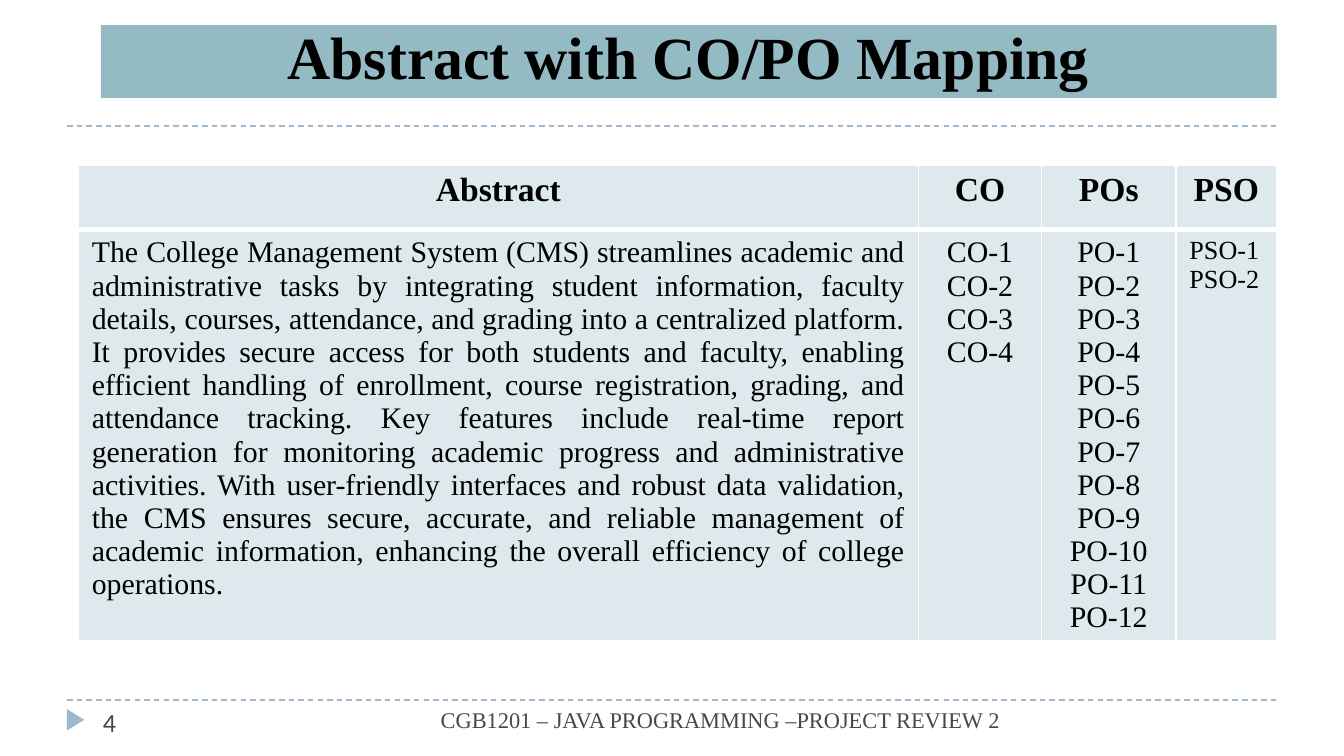
from collections import namedtuple

from lxml import etree
from pptx import Presentation
from pptx.dml.color import RGBColor
from pptx.enum.dml import MSO_LINE
from pptx.enum.shapes import MSO_CONNECTOR, MSO_SHAPE
from pptx.enum.text import MSO_ANCHOR, PP_ALIGN
from pptx.oxml.ns import qn
from pptx.util import Inches, Pt

LEFT, CENTER = PP_ALIGN.LEFT, PP_ALIGN.CENTER
RIGHT, JUSTIFY = PP_ALIGN.RIGHT, PP_ALIGN.JUSTIFY
TOP, BOTTOM = MSO_ANCHOR.TOP, MSO_ANCHOR.BOTTOM
DASH = MSO_LINE.DASH
TRIANGLE = MSO_SHAPE.ISOSCELES_TRIANGLE
STRAIGHT = MSO_CONNECTOR.STRAIGHT

BLACK = RGBColor(0x00, 0x00, 0x00)
WHITE = RGBColor(0xFF, 0xFF, 0xFF)
TEAL = RGBColor(0x94, 0xBA, 0xC3)
PALE_TEAL = RGBColor(0xDD, 0xE9, 0xEC)
RULE_BLUE = RGBColor(0x9F, 0xB8, 0xCD)
SLATE = RGBColor(0x46, 0x46, 0x53)
SERIF, SANS = "Times New Roman", "Calibri"

SLIDE_W, SLIDE_H = Inches(10), Inches(5.625)
COL, ROW = SLIDE_W / 120, SLIDE_H / 135

Box = namedtuple("Box", "left top width height")

TITLE_BOX = Box(9, 4.5, 105, 13)
RULE_BOX = Box(6, 22.5, 108, 0)
TABLE_BOX = Box(7, 29.5, 107, 85)
FOOTER_BOX = Box(6, 125, 108, 10)

COLUMN_SPANS = (75, 11, 12, 9)
ROW_SPANS = (11.5, 73.5)
HEADINGS = ("Abstract", "CO", "POs", "PSO")
ABSTRACT = (
    "The College Management System (CMS) streamlines academic and administrative tasks "
    "by integrating student information, faculty details, courses, attendance, and grading "
    "into a centralized platform. It provides secure access for both students and faculty, "
    "enabling efficient handling of enrollment, course registration, grading, and attendance "
    "tracking. Key features include real-time report generation for monitoring academic "
    "progress and administrative activities. With user-friendly interfaces and robust data "
    "validation, the CMS ensures secure, accurate, and reliable management of academic "
    "information, enhancing the overall efficiency of college operations."
)


def numbered(prefix, count):
    return "\n".join(f"{prefix}-{number}" for number in range(1, count + 1))


def emu(box):
    return (round(box.left * COL), round(box.top * ROW),
            round(box.width * COL), round(box.height * ROW))


def write(frame, text, size=16, font=SERIF, color=BLACK, bold=False, align=LEFT, anchor=TOP):
    frame.word_wrap = True
    frame.vertical_anchor = anchor
    frame.text = text
    for paragraph in frame.paragraphs:
        paragraph.alignment = align
        for run in paragraph.runs:
            run.font.size = Pt(size)
            run.font.name = font
            run.font.bold = bold
            run.font.color.rgb = color


def add_rule(slide, box):
    left, top, width, _ = emu(box)
    rule = slide.shapes.add_connector(STRAIGHT, left, top, left + width, top)
    rule.line.color.rgb = RULE_BLUE
    rule.line.width = Pt(0.75)
    rule.line.dash_style = DASH
    etree.SubElement(rule._element.spPr, qn("a:effectLst"))


def add_title(slide, box):
    title = slide.shapes.title
    title.left, title.top, title.width, title.height = emu(box)
    title.fill.solid()
    title.fill.fore_color.rgb = TEAL
    write(title.text_frame, "Abstract with CO/PO Mapping",
          size=32, bold=True, align=CENTER, anchor=BOTTOM)


def set_borders(cell, bottom_width):
    properties = cell._tc.get_or_add_tcPr()
    widths = {"lnL": 1, "lnR": 1, "lnT": 1, "lnB": bottom_width}
    for position, (side, width) in enumerate(widths.items()):
        border = etree.Element(qn(f"a:{side}"), w=str(Pt(width)))
        fill = etree.SubElement(border, qn("a:solidFill"))
        etree.SubElement(fill, qn("a:srgbClr"), val=str(WHITE))
        properties.insert(position, border)


def fill_cell(cell, text, bottom_width=1, **text_format):
    cell.fill.solid()
    cell.fill.fore_color.rgb = PALE_TEAL
    set_borders(cell, bottom_width)
    write(cell.text_frame, text, **text_format)


def add_mapping_table(slide, box):
    table = slide.shapes.add_table(len(ROW_SPANS), len(COLUMN_SPANS), *emu(box)).table
    for column, span in zip(table.columns, COLUMN_SPANS):
        column.width = round(span * COL)
    for row, span in zip(table.rows, ROW_SPANS):
        row.height = round(span * ROW)
    outcomes = (
        (ABSTRACT, 16, JUSTIFY),
        (numbered("CO", 4), 16, CENTER),
        (numbered("PO", 12), 16, CENTER),
        (numbered("PSO", 2), 14, LEFT),
    )
    for index, (heading, (text, size, align)) in enumerate(zip(HEADINGS, outcomes)):
        fill_cell(table.cell(0, index), heading, bottom_width=3,
                  size=18, bold=True, align=CENTER)
        fill_cell(table.cell(1, index), text, size=size, align=align)


def add_footer(slide, box):
    add_rule(slide, box)
    marker = slide.shapes.add_shape(
        TRIANGLE, *emu(Box(box.left - 0.2, box.top + 2, 1.9, 3.1)))
    marker.rotation = 90
    marker.shadow.inherit = False
    marker.fill.solid()
    marker.fill.fore_color.rgb = RULE_BLUE
    marker.line.fill.background()

    course = slide.shapes.add_textbox(*emu(Box(box.left + 31, box.top, 54, box.height)))
    write(course.text_frame, "CGB1201 – JAVA PROGRAMMING –PROJECT REVIEW 2 ",
          size=12, color=SLATE, align=RIGHT)
    page = slide.shapes.add_textbox(*emu(Box(box.left + 2, box.top, 26, 7)))
    write(page.text_frame, "4", size=14, font=SANS, color=SLATE)


def main():
    presentation = Presentation()
    presentation.slide_width, presentation.slide_height = SLIDE_W, SLIDE_H
    slide = presentation.slides.add_slide(presentation.slide_layouts[5])
    add_title(slide, TITLE_BOX)
    add_rule(slide, RULE_BOX)
    add_mapping_table(slide, TABLE_BOX)
    add_footer(slide, FOOTER_BOX)
    presentation.save("out.pptx")


if __name__ == "__main__":
    main()
